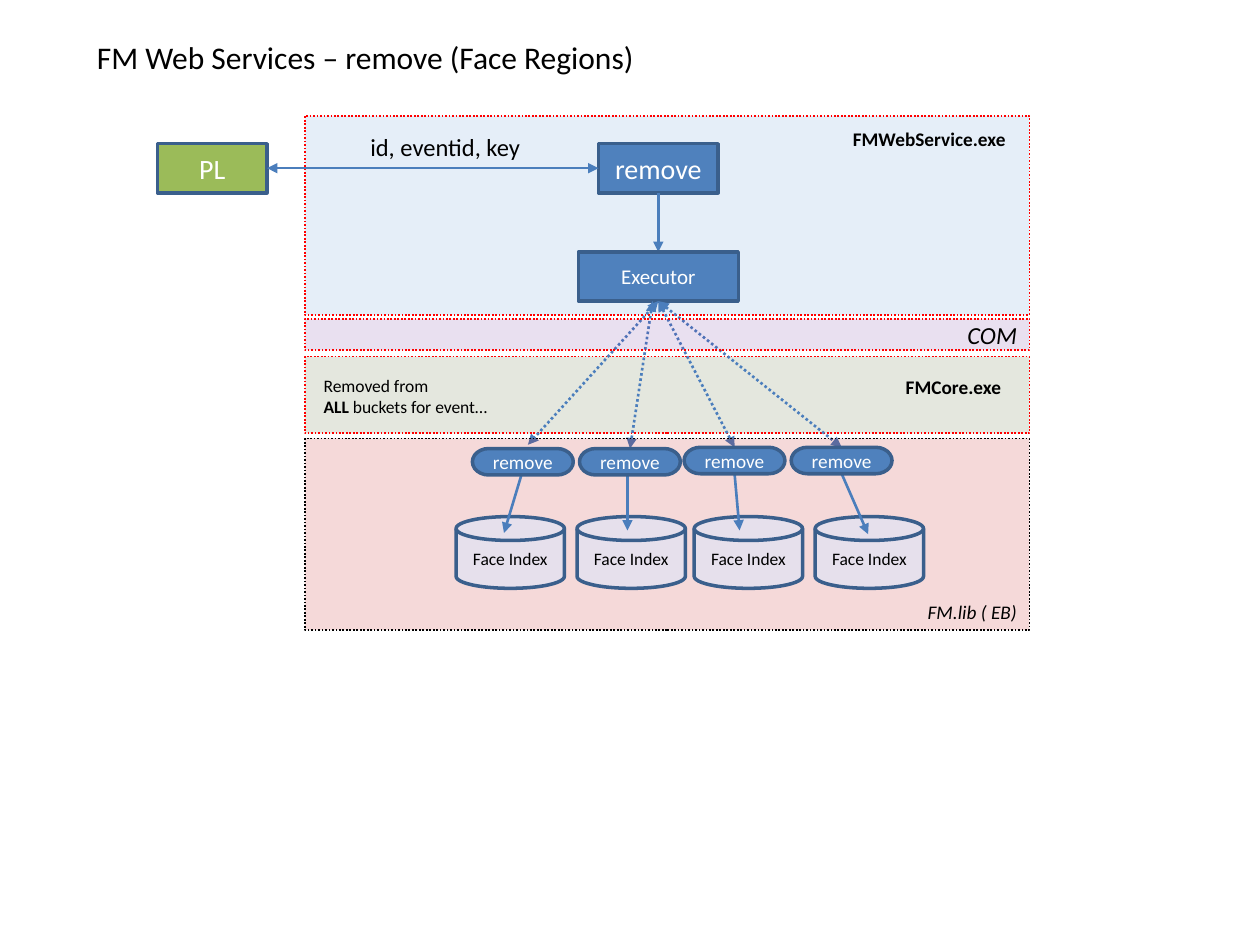
import lxml.etree
import pptx
import pptx.dml.color
import pptx.enum.dml
import pptx.enum.shapes
import pptx.enum.text
import pptx.oxml.ns
import pptx.util

Inches = pptx.util.Inches
Pt = pptx.util.Pt
rgb = pptx.dml.color.RGBColor.from_string
qn = pptx.oxml.ns.qn
SHAPE = pptx.enum.shapes.MSO_SHAPE
ALIGN = pptx.enum.text.PP_ALIGN
ANCHOR = pptx.enum.text.MSO_ANCHOR
DOTTED = pptx.enum.dml.MSO_LINE.ROUND_DOT

theme = {
    "font": "Calibri", "black": "000000", "white": "FFFFFF", "red": "FF0000",
    "blue": "4F81BD", "green": "9BBB59", "edge": "3A5F8C", "arrow": "4B7EBC",
    "disk": "E6E0EC", "core": "4F6228", "web": "558ED5", "com": "7030A0",
    "lib": "C00000", "title": 18, "node": 16, "label": 14, "executor": 12,
    "small": 11, "note": 10,
}

deck = pptx.Presentation()
deck.slide_width, deck.slide_height = Inches(10), Inches(7.5)
slide = deck.slides.add_slide(deck.slide_layouts[6])


def add_box(kind, at, fill, edge="edge", text="", size="small", color="white",
            align=ALIGN.CENTER, anchor=ANCHOR.MIDDLE, band=False):
    box = slide.shapes.add_shape(kind, *map(Inches, at))
    box.shadow.inherit = False
    box.fill.solid()
    box.fill.fore_color.rgb = rgb(theme[fill])
    box.line.color.rgb = rgb(theme[edge])
    box.line.width = Pt(1 if band else 2)
    if band:
        box.line.dash_style = DOTTED
        tint = box._element.spPr.find(qn("a:solidFill")).find(qn("a:srgbClr"))
        lxml.etree.SubElement(tint, qn("a:alpha"), val="15000")
    if text:
        box.text_frame.word_wrap = True
        box.text_frame.vertical_anchor = anchor
        paragraph = box.text_frame.paragraphs[0]
        paragraph.text = text
        paragraph.alignment = align
        paragraph.font.name = theme["font"]
        paragraph.font.size = Pt(theme[size])
        paragraph.font.color.rgb = rgb(theme[color])
        paragraph.font.italic = band
    return box


def add_arrow(start, end, both=False, dotted=False):
    arrow = slide.shapes.add_connector(
        pptx.enum.shapes.MSO_CONNECTOR.STRAIGHT, *map(Inches, start + end))
    arrow.line.color.rgb = rgb(theme["arrow"])
    arrow.line.width = Pt(1.5)
    if dotted:
        arrow.line.dash_style = DOTTED
    outline = arrow.line._get_or_add_ln()
    for tip in ("a:headEnd", "a:tailEnd") if both else ("a:tailEnd",):
        lxml.etree.SubElement(outline, qn(tip), type="triangle")
    lxml.etree.SubElement(arrow._element.spPr, qn("a:effectLst"))
    return arrow


band_left, band_width = 2.42, 5.75
add_box(SHAPE.RECTANGLE, (band_left, 2.83, band_width, 0.61), "core", "red", band=True)
add_box(SHAPE.RECTANGLE, (band_left, 0.92, band_width, 1.58), "web", "red", band=True)

client = add_box(SHAPE.RECTANGLE, (1.25, 1.14, 0.87, 0.39), "green", text="PL", size="node")
service = add_box(SHAPE.RECTANGLE, (4.75, 1.14, 0.95, 0.39), "blue", text="remove", size="node")
request = add_arrow((2.12, 1.34), (4.75, 1.34), both=True)
request.begin_connect(client, 3)
request.end_connect(service, 1)
dispatch = add_arrow((5.23, 1.53), (5.23, 2))
executor = add_box(SHAPE.RECTANGLE, (4.59, 2, 1.27, 0.39), "blue",
                   text="Executor", size="executor")
dispatch.begin_connect(service, 2)
dispatch.end_connect(executor, 0)

buckets = [
    (3.62, 3.75, 3.56, 5.23, (4.19, 3.53), (4.15, 3.73), (4, 4.23)),
    (4.58, 4.6, 3.56, 5.18, (5, 3.56), (4.98, 3.77), (4.98, 4.21)),
    (5.51, 5.43, 3.55, 5.23, (5.83, 3.55), (5.83, 3.77), (5.87, 4.21)),
    (6.47, 6.28, 3.55, 5.23, (6.68, 3.55), (6.68, 3.76), (6.89, 4.24)),
]
calls = []
for _, _, _, call_left, call_end, _, _ in buckets:
    call = add_arrow((call_left, 2.39), call_end, both=True, dotted=True)
    if call_left == 5.23:
        call.begin_connect(executor, 2)
    calls.append(call)

add_box(SHAPE.RECTANGLE, (band_left, 2.53, band_width, 0.25), "com", "red", "COM",
        "label", "black", ALIGN.RIGHT, band=True)
add_box(SHAPE.RECTANGLE, (band_left, 3.48, band_width, 1.52), "lib", "black", "FM.lib ( EB)",
        "small", "black", ALIGN.RIGHT, ANCHOR.BOTTOM, band=True)

for call, bucket in zip(calls, buckets):
    disk_left, step_left, step_top, _, call_end, drop_start, drop_end = bucket
    add_box(SHAPE.FLOWCHART_MAGNETIC_DISK, (disk_left, 4.1, 0.86, 0.57), "disk",
            text="Face Index", size="note", color="black")
    drop = add_arrow(drop_start, drop_end)
    step = add_box(SHAPE.FLOWCHART_TERMINATOR, (step_left, step_top, 0.8, 0.21),
                   "blue", text="remove")
    if call_end[1] == step_top:
        call.end_connect(step, 0)
    if drop_start[0] == round(step_left + 0.4, 2) and drop_start[1] > step_top + 0.2:
        drop.begin_connect(step, 2)

captions = [
    ((0.67, 0.25, 4.52, 0.4), "title", [[("FM Web Services – remove (Face Regions)", False)]]),
    ((6.67, 0.96, 1.43, 0.29), "small", [[("FMWebService.exe", True)]]),
    ((2.84, 1, 1.41, 0.34), "label", [[("id, eventid, key", False)]]),
    ((2.47, 2.93, 1.52, 0.44), "note",
     [[("Removed from", False)], [("ALL", True), (" buckets for event…", False)]]),
    ((7.09, 2.93, 0.97, 0.29), "small", [[("FMCore.exe", True)]]),
]
for at, size, lines in captions:
    frame = slide.shapes.add_textbox(*map(Inches, at)).text_frame
    frame.word_wrap = False
    frame.auto_size = pptx.enum.text.MSO_AUTO_SIZE.SHAPE_TO_FIT_TEXT
    for index, pieces in enumerate(lines):
        paragraph = frame.add_paragraph() if index else frame.paragraphs[0]
        paragraph.font.name = theme["font"]
        paragraph.font.size = Pt(theme[size])
        paragraph.font.color.rgb = rgb(theme["black"])
        for words, bold in pieces:
            run = paragraph.add_run()
            run.text = words
            run.font.bold = bold

deck.save("out.pptx")
